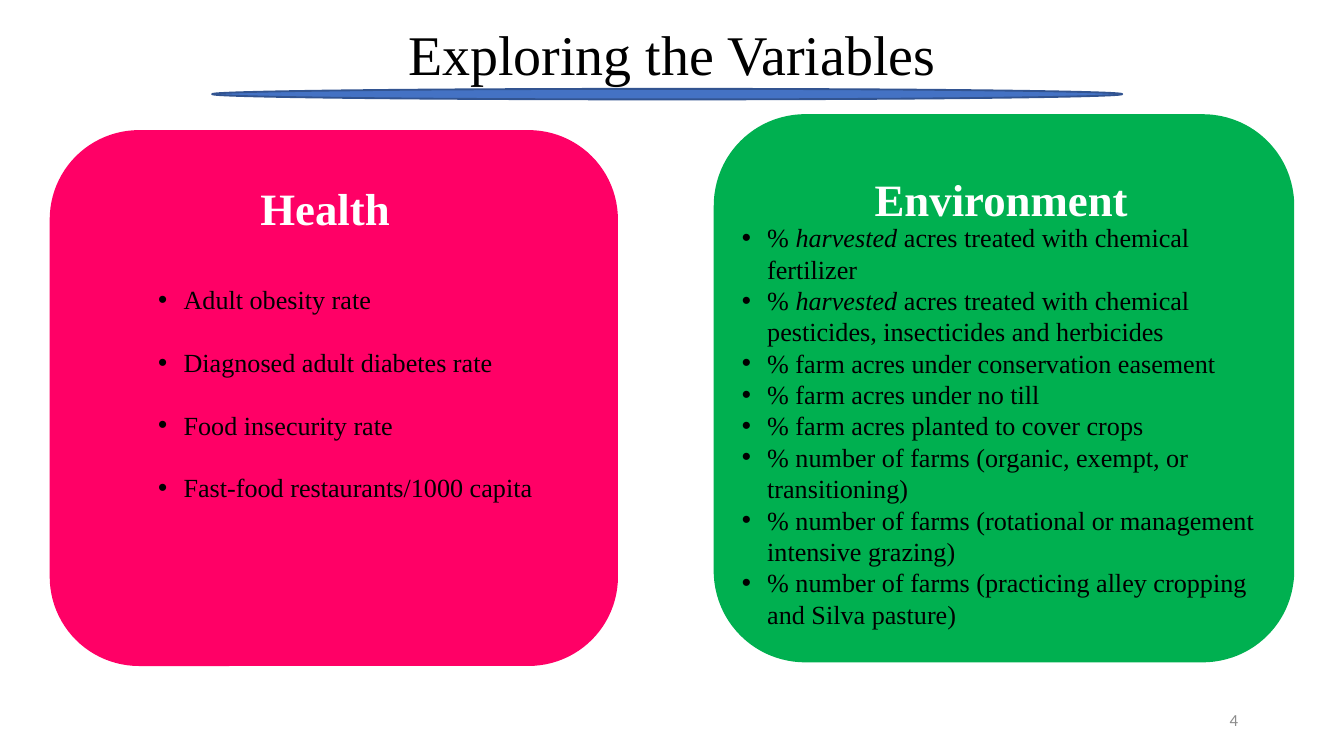
from dataclasses import dataclass

from lxml.etree import SubElement
from pptx import Presentation
from pptx.dml.color import RGBColor
from pptx.enum.shapes import MSO_SHAPE
from pptx.enum.text import MSO_ANCHOR, PP_ALIGN
from pptx.oxml.ns import qn
from pptx.util import Cm, Pt

SERIF = "Times New Roman"


@dataclass
class Box:
    """A place on the slide in centimetres."""
    left: float
    top: float
    width: float
    height: float

    def cms(self) -> tuple:
        """Return the place as lengths."""
        return Cm(self.left), Cm(self.top), Cm(self.width), Cm(self.height)


@dataclass
class Card:
    """A coloured panel with a heading and bullets; *stars* mark italics."""
    box: Box
    fill: str
    title: str
    head: Box
    align: PP_ALIGN
    body: Box
    items: list
    gap: float


CARDS = [
    Card(Box(13.49, 2.16, 10.97, 10.36), "00B050",
         "Environment", Box(16.28, 3, 6.55, 1.5), PP_ALIGN.LEFT,
         Box(13.77, 3.94, 10.69, 7.9),
         ["% *harvested* acres treated with chemical fertilizer",
          "% *harvested* acres treated with chemical pesticides, "
          "insecticides and herbicides",
          "% farm acres under conservation easement",
          "% farm acres under no till",
          "% farm acres planted to cover crops",
          "% number of farms (organic, exempt, or transitioning)",
          "% number of farms (rotational or management intensive grazing)",
          "% number of farms (practicing alley cropping and Silva pasture)"],
         0),
    Card(Box(0.94, 2.46, 10.74, 10.13), "FF0066",
         "Health", Box(3.4, 3.28, 5.49, 1.27), PP_ALIGN.CENTER,
         Box(2.74, 5.11, 7.98, 6.43),
         ["Adult obesity rate", "Diagnosed adult diabetes rate",
          "Food insecurity rate", "Fast-food restaurants/1000 capita"],
         16.8),
]


def paint(target, color: str) -> None:
    """Give a fill a solid colour."""
    target.solid()
    target.fore_color.rgb = RGBColor.from_string(color)


def panel(slide, kind: MSO_SHAPE, box: Box, fill: str, edge: str = ""):
    """Draw a filled shape, outlined if an edge colour is given."""
    shape = slide.shapes.add_shape(kind, *box.cms())
    shape.shadow.inherit = False
    paint(shape.fill, fill)
    if edge:
        paint(shape.line.fill, edge)
        shape.line.width = Pt(1)
    else:
        shape.line.fill.background()


def frame(slide, box: Box, anchor: MSO_ANCHOR):
    """Add a wrapping text box and return its frame."""
    text = slide.shapes.add_textbox(*box.cms()).text_frame
    text.word_wrap = True
    text.vertical_anchor = anchor
    text.margin_left = text.margin_right = Cm(0.25)
    text.margin_top = text.margin_bottom = Cm(0.25)
    return text


def style(font, size: float, color: str, face: str = SERIF) -> None:
    """Set the face, size and colour of a font."""
    font.name = face
    font.size = Pt(size)
    paint(font.fill, color)


def label(slide, words: str, box: Box, align: PP_ALIGN, size: float,
          color: str, face: str = SERIF, bold: bool = False):
    """Write a single line and return its paragraph."""
    text = frame(slide, box, MSO_ANCHOR.MIDDLE)
    text.text = words
    para = text.paragraphs[0]
    para.alignment = align
    style(para.runs[0].font, size, color, face)
    para.runs[0].font.bold = bold
    return para


def bullet(para) -> None:
    """Give a paragraph a hanging black bullet."""
    props = para._p.get_or_add_pPr()
    props.set("marL", str(Cm(0.48)))
    props.set("indent", str(-Cm(0.48)))
    tint = SubElement(props, qn("a:buClr"))
    SubElement(tint, qn("a:srgbClr"), val="000000")
    SubElement(props, qn("a:buFont"), typeface="Arial")
    SubElement(props, qn("a:buChar"), char="•")


def bullets(slide, box: Box, items: list, gap: float) -> None:
    """Write a bulleted list with a gap between items."""
    text = frame(slide, box, MSO_ANCHOR.TOP)
    for row, item in enumerate(items):
        para = text.add_paragraph() if row else text.paragraphs[0]
        bullet(para)
        para.line_spacing = Pt(16.8)
        para.space_before = Pt(gap if row else 0)
        for part, words in enumerate(item.split("*")):
            run = para.add_run()
            run.text = words
            style(run.font, 14, "000000")
            run.font.italic = part % 2 == 1


def main() -> None:
    """Build and save the slide."""
    deck = Presentation()
    deck.slide_width, deck.slide_height = Cm(25.4), Cm(14.29)
    slide = deck.slides.add_slide(deck.slide_layouts[6])
    title = label(slide, "Exploring the Variables",
                  Box(1.27, 0.41, 22.86, 1.35), PP_ALIGN.CENTER, 30, "000000")
    title.line_spacing = 0.9
    for card in CARDS:
        panel(slide, MSO_SHAPE.ROUNDED_RECTANGLE, card.box, card.fill)
        label(slide, card.title, card.head, card.align, 24, "FFFFFF",
              bold=True)
        bullets(slide, card.body, card.items, card.gap)
    panel(slide, MSO_SHAPE.OVAL, Box(4.01, 1.68, 17.2, 0.2),
          "4472C4", "325491")
    label(slide, "4", Box(17.93, 13.23, 5.72, 0.76), PP_ALIGN.RIGHT, 9,
          "8C8C8C", "Calibri")
    deck.save("out.pptx")


if __name__ == "__main__":
    main()
